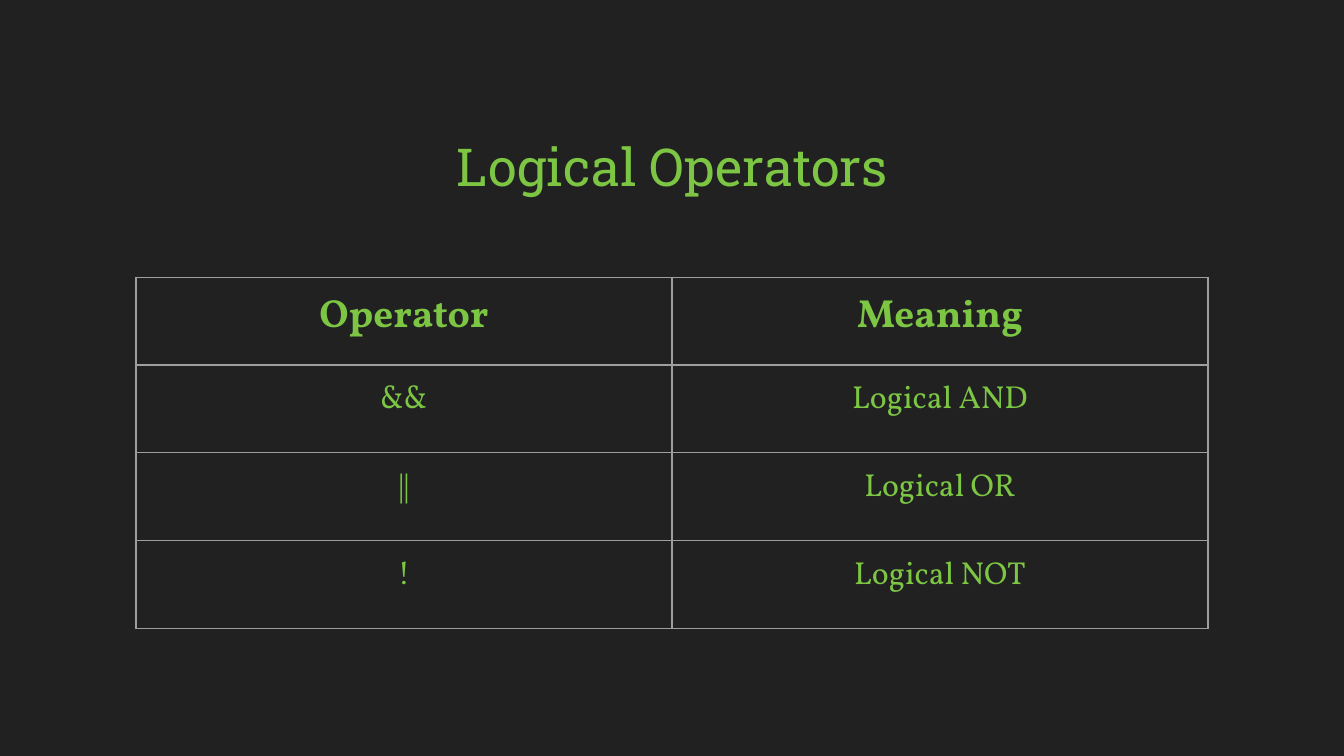
from dataclasses import dataclass
from typing import NamedTuple

from lxml.etree import SubElement
from pptx import Presentation
from pptx.dml.color import RGBColor
from pptx.enum.text import MSO_ANCHOR, PP_ALIGN
from pptx.oxml.ns import qn
from pptx.slide import Slide
from pptx.table import _Cell
from pptx.text.text import TextFrame
from pptx.util import Cm, Pt


@dataclass(frozen=True)
class Theme:
    background: str = "212121"
    accent: str = "7CC644"
    border: str = "9E9E9E"
    title_font: str = "Roboto Slab"
    table_font: str = "Vollkorn"
    title_size: int = 28
    header_size: int = 21
    body_size: int = 17
    border_width: float = 0.75
    inset: float = 0.25


class OperatorRow(NamedTuple):
    operator: str
    meaning: str


THEME = Theme()
OPERATORS = [
    OperatorRow("Operator", "Meaning"),
    OperatorRow("&&", "Logical AND"),
    OperatorRow("||", "Logical OR"),
    OperatorRow("!", "Logical NOT"),
]
COLUMN_WIDTH = Cm(10.13)
ROW_HEIGHT = Cm(1.66)


def write_text(frame: TextFrame, text: str, *, font: str, size: float,
               bold: bool = False, color: str = THEME.accent) -> None:
    frame.word_wrap = True
    paragraph = frame.paragraphs[0]
    paragraph.alignment = PP_ALIGN.CENTER
    run = paragraph.add_run()
    run.text = text
    run.font.name = font
    run.font.size = Pt(size)
    run.font.bold = bold
    run.font.color.rgb = RGBColor.from_string(color)


def set_insets(target: TextFrame | _Cell) -> None:
    target.margin_left = target.margin_right = Cm(THEME.inset)
    target.margin_top = target.margin_bottom = Cm(THEME.inset)
    target.vertical_anchor = MSO_ANCHOR.TOP


def outline_cell(cell: _Cell) -> None:
    properties = cell._tc.get_or_add_tcPr()
    for side in ("lnL", "lnR", "lnT", "lnB"):
        line = SubElement(properties, qn(f"a:{side}"), w=str(Pt(THEME.border_width)))
        fill = SubElement(line, qn("a:solidFill"))
        SubElement(fill, qn("a:srgbClr"), val=THEME.border)


def add_title(slide: Slide, text: str) -> None:
    title = slide.shapes.title
    title.left, title.top = Cm(7.09), Cm(2.29)
    title.width, title.height = Cm(11.23), Cm(1.9)
    set_insets(title.text_frame)
    write_text(title.text_frame, text, font=THEME.title_font, size=THEME.title_size)


def add_operator_table(slide: Slide, rows: list[OperatorRow]) -> None:
    columns = len(OperatorRow._fields)
    table = slide.shapes.add_table(
        len(rows), columns, Cm(2.57), Cm(5.24),
        COLUMN_WIDTH * columns, ROW_HEIGHT * len(rows),
    ).table
    table.first_row = table.horz_banding = False
    for row_index, row in enumerate(rows):
        is_header = row_index == 0
        for column_index, text in enumerate(row):
            cell = table.cell(row_index, column_index)
            set_insets(cell)
            outline_cell(cell)
            cell.fill.background()
            write_text(cell.text_frame, text, font=THEME.table_font, bold=is_header,
                       size=THEME.header_size if is_header else THEME.body_size)


def main() -> None:
    presentation = Presentation()
    presentation.slide_width = Cm(25.4)
    presentation.slide_height = Cm(14.29)
    slide = presentation.slides.add_slide(presentation.slide_layouts.get_by_name("Title Only"))
    slide.background.fill.solid()
    slide.background.fill.fore_color.rgb = RGBColor.from_string(THEME.background)
    add_title(slide, "Logical Operators")
    add_operator_table(slide, OPERATORS)
    presentation.save("out.pptx")


if __name__ == "__main__":
    main()
